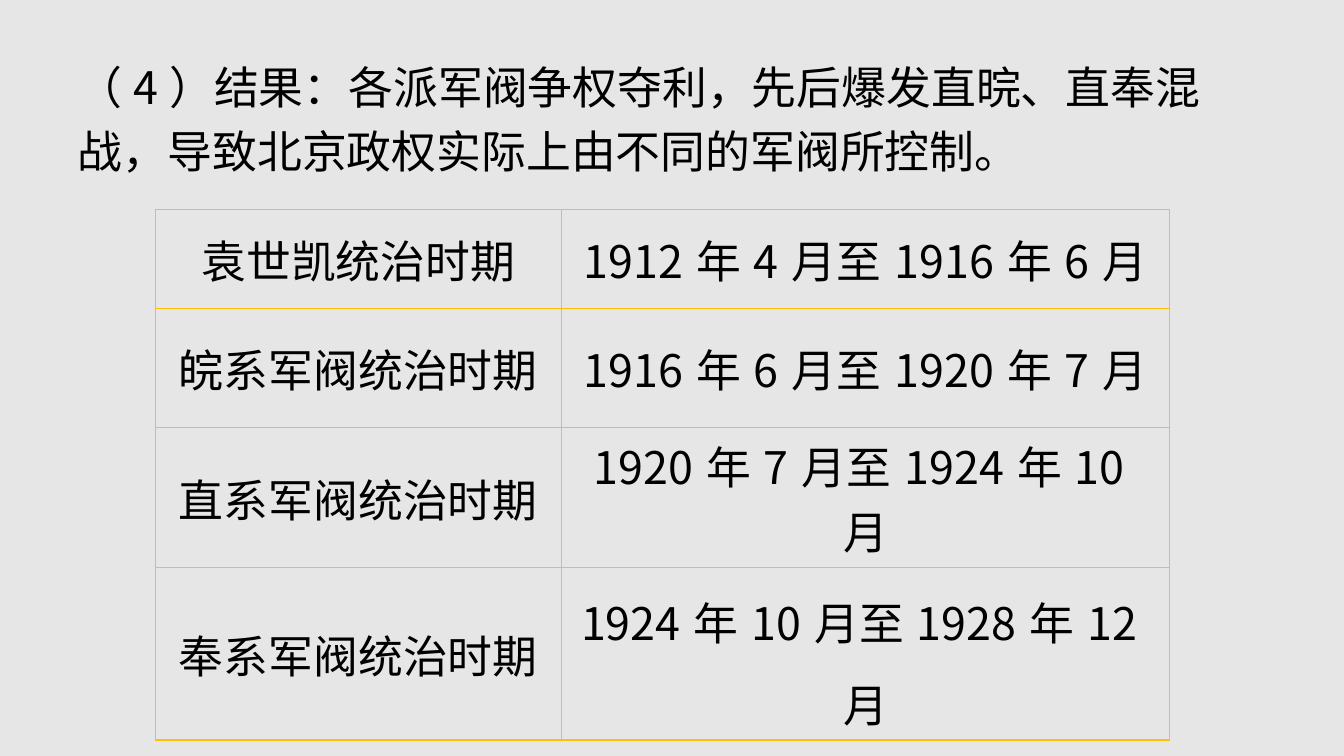
from lxml.etree import SubElement
from pptx import Presentation
from pptx.dml.color import RGBColor
from pptx.enum.shapes import MSO_SHAPE as Shape
from pptx.enum.text import MSO_ANCHOR as Anchor, PP_ALIGN as Align
from pptx.oxml.ns import qn
from pptx.util import Inches, Pt

RESULT = "（4）结果：各派军阀争权夺利，先后爆发直晥、直奉混战，导致北京政权实际上由不同的军阀所控制。"
PERIODS = [
    ("袁世凯统治时期", "1912年4月至1916年6月"),
    ("皖系军阀统治时期", "1916年6月至1920年7月"),
    ("直系军阀统治时期", "1920年7月至1924年10月"),
    ("奉系军阀统治时期", "1924年10月至1928年12月"),
]
COLUMNS = (4.03, 6.03)
ROWS = (0.98, 1.18, 1.18, 1.18)
LEFT, TOP = 1.54, 2.08

FONT = "Noto Sans CJK SC"
BLACK = RGBColor(0x00, 0x00, 0x00)
PAPER = RGBColor(0xE6, 0xE6, 0xE6)
GOLD = RGBColor(0xFF, 0xC0, 0x00)


def write(frame, text, align=Align.LEFT, size=32, spacing=None):
    paragraph = frame.paragraphs[0]
    paragraph.alignment = align
    paragraph.line_spacing = spacing
    run = paragraph.add_run()
    run.text = text
    run.font.size = Pt(size)
    run.font.name = FONT
    run.font.color.rgb = BLACK
    SubElement(run.font._element, qn("a:ea"), typeface=FONT)


def set_borders(cell, color):
    properties = cell._tc.get_or_add_tcPr()
    for position, side in enumerate("LRTB"):
        line = SubElement(properties, qn(f"a:ln{side}"), w=str(Pt(1)))
        fill = SubElement(line, qn("a:solidFill"))
        SubElement(fill, qn("a:srgbClr"), val=str(color))
        properties.insert(position, line)


presentation = Presentation()
presentation.slide_width = Inches(13.33)
presentation.slide_height = Inches(7.5)
slide = presentation.slides.add_slide(presentation.slide_layouts[6])
slide.background.fill.solid()
slide.background.fill.fore_color.rgb = PAPER

# Result statement
result = slide.shapes.add_shape(
    Shape.ROUNDED_RECTANGLE, Inches(0.65), Inches(0.33), Inches(11.83), Inches(1.59))
result.adjustments[0] = 0.115
result.shadow.inherit = False
result.fill.background()
result.line.fill.background()
frame = result.text_frame
frame.word_wrap = True
frame.vertical_anchor = Anchor.MIDDLE
frame.margin_left = frame.margin_right = Inches(0.07)
frame.margin_top = frame.margin_bottom = Inches(0.03)
write(frame, RESULT, spacing=1.2)

# Table of ruling periods
periods = slide.shapes.add_table(
    len(ROWS), len(COLUMNS), Inches(LEFT), Inches(TOP),
    Inches(sum(COLUMNS)), Inches(sum(ROWS))).table
periods.first_row = periods.horz_banding = False
for column, width in zip(periods.columns, COLUMNS):
    column.width = Inches(width)
for row, height in zip(periods.rows, ROWS):
    row.height = Inches(height)

last = len(PERIODS) - 1
for r, period in enumerate(PERIODS):
    for c, text in enumerate(period):
        cell = periods.cell(r, c)
        cell.fill.background()
        cell.vertical_anchor = Anchor.MIDDLE
        spacing = 1.25 if (r, c) == (last, 1) else None
        write(cell.text_frame, text, align=Align.CENTER, spacing=spacing)
        set_borders(cell, GOLD)

presentation.save("out.pptx")
